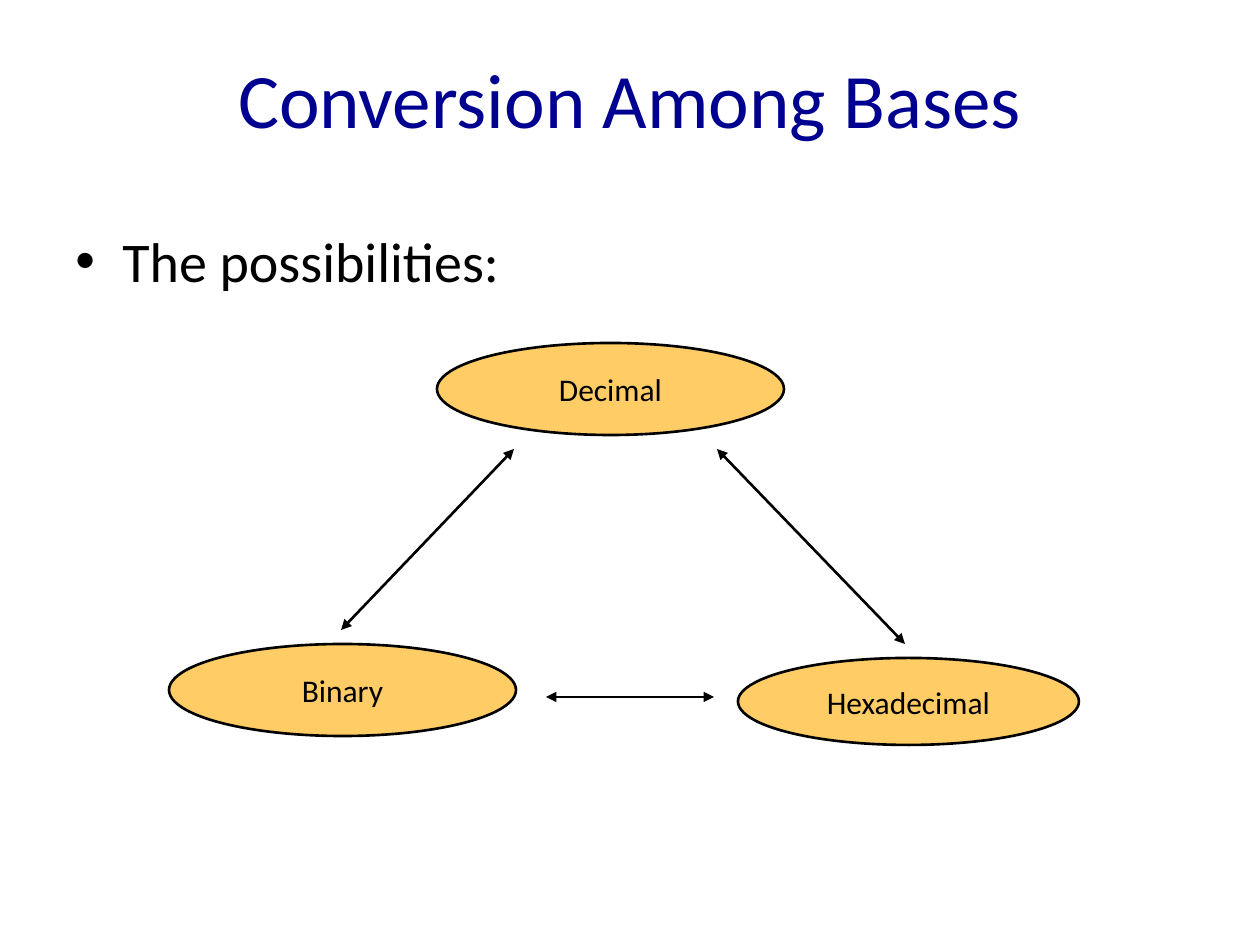
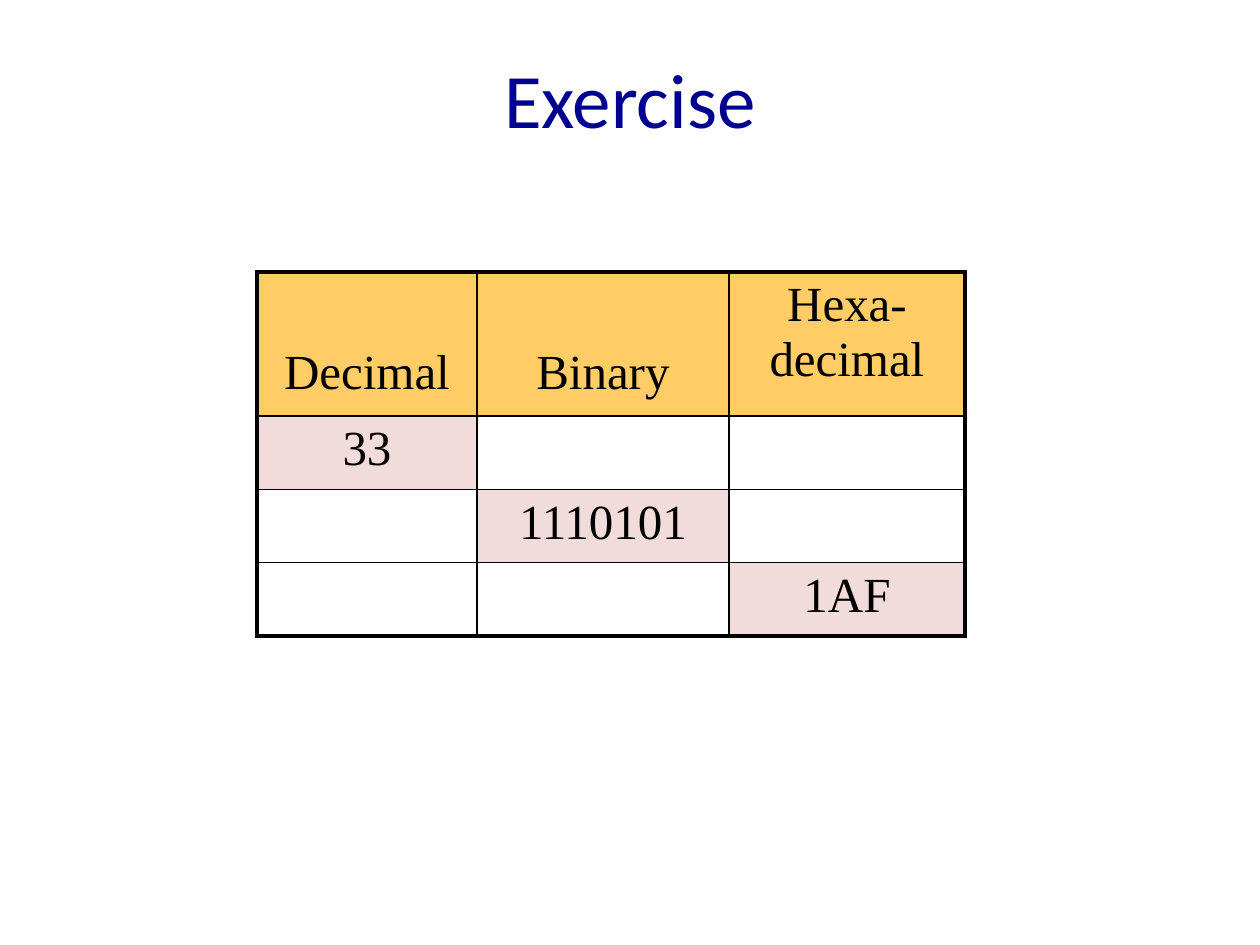
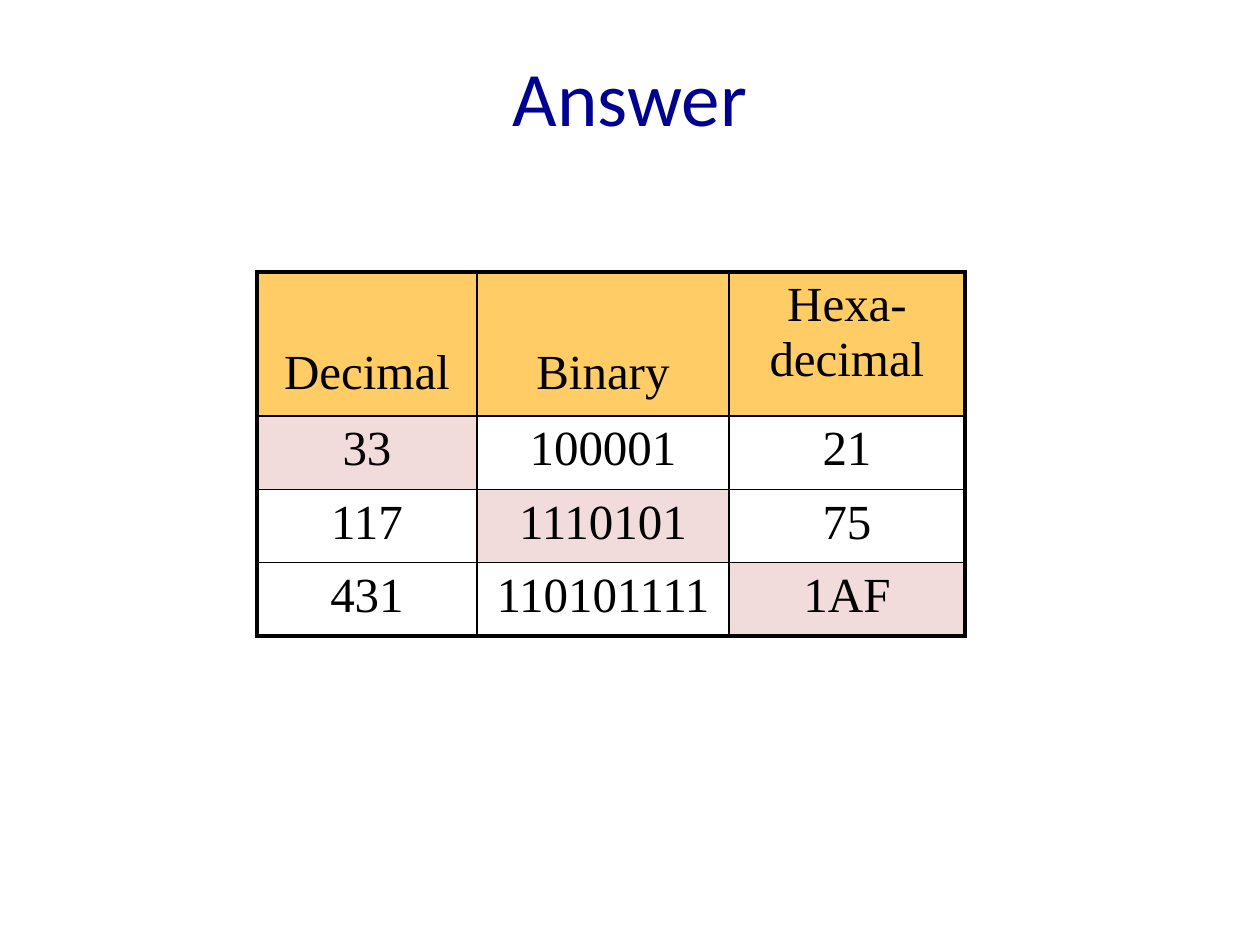
from dataclasses import dataclass

import pptx
import pptx.dml.color
import pptx.enum.shapes
import pptx.enum.text
import pptx.oxml.ns
import pptx.util
from lxml import etree

EMU_PER_PX = 914400 / 126
ANCHOR = pptx.enum.text.MSO_ANCHOR
ALIGN = pptx.enum.text.PP_ALIGN


@dataclass(frozen=True)
class Theme:
    title_color: str = "000090"
    ink: str = "000000"
    gold: str = "FFCC66"
    pink: str = "F2DCDB"
    sans: str = "Calibri"
    serif: str = "Times New Roman"
    title_size: int = 44
    body_size: int = 32
    table_size: int = 28
    label_size: int = 18
    line: float = 1.5
    inner_border: float = 1
    outer_border: float = 2.25


@dataclass(frozen=True)
class Box:
    left: int
    top: int
    width: int
    height: int

    def inside(self, left, top, width, height):
        return Box(self.left + left, self.top + top, width, height)

    def emu(self):
        return [px(length) for length in (self.left, self.top, self.width, self.height)]


THEME = Theme()
PAGE = Box(0, 0, 1260, 945)
TITLE_BOX = Box(0, 0, 1260, 195)
BODY_BOX = Box(63, 220, 1134, 624)
DIAGRAM_BOX = Box(169, 343, 911, 402)
TABLE_BOX = Box(257, 272, 708, 364)

HEADINGS = ["Decimal", "Binary", "Hexa-\ndecimal"]
NUMBERS = [
    ["33", "100001", "21"],
    ["117", "1110101", "75"],
    ["431", "110101111", "1AF"],
]


def px(length):
    return pptx.util.Emu(round(length * EMU_PER_PX))


def rgb(color):
    return pptx.dml.color.RGBColor.from_string(color)


def add_element(parent, tag, **attributes):
    return etree.SubElement(parent, pptx.oxml.ns.qn(tag), attributes)


def add_run(paragraph, text, size, font=THEME.sans, color=THEME.ink):
    run = paragraph.add_run()
    run.text = text
    run.font.size = pptx.util.Pt(size)
    run.font.name = font
    run.font.color.rgb = rgb(color)


def add_text_box(slide, box, anchor):
    frame = slide.shapes.add_textbox(*box.emu()).text_frame
    frame.word_wrap = True
    frame.vertical_anchor = anchor
    return frame.paragraphs[0]


# Title and body text
def add_title(slide, box, text):
    paragraph = add_text_box(slide, box, ANCHOR.MIDDLE)
    paragraph.alignment = ALIGN.CENTER
    add_run(paragraph, text, THEME.title_size, color=THEME.title_color)


def add_bullet(slide, box, text):
    paragraph = add_text_box(slide, box, ANCHOR.TOP)
    properties = paragraph._p.get_or_add_pPr()
    properties.set("marL", str(px(47)))
    properties.set("indent", str(-px(47)))
    add_element(properties, "a:buFont", typeface="Arial")
    add_element(properties, "a:buChar", char="•")
    add_run(paragraph, text, THEME.body_size)


# Conversion diagram
def add_base(slide, box, name):
    shape = slide.shapes.add_shape(pptx.enum.shapes.MSO_SHAPE.OVAL, *box.emu())
    shape.shadow.inherit = False
    shape.fill.solid()
    shape.fill.fore_color.rgb = rgb(THEME.gold)
    shape.line.color.rgb = rgb(THEME.ink)
    shape.line.width = pptx.util.Pt(THEME.line)
    frame = shape.text_frame
    frame.word_wrap = False
    frame.vertical_anchor = ANCHOR.MIDDLE
    frame.paragraphs[0].alignment = ALIGN.CENTER
    add_run(frame.paragraphs[0], name, THEME.label_size)


def add_double_arrow(slide, box, start, end):
    points = [px(length) for x, y in (start, end) for length in (box.left + x, box.top + y)]
    connector = slide.shapes.add_connector(pptx.enum.shapes.MSO_CONNECTOR.STRAIGHT, *points)
    connector.line.color.rgb = rgb(THEME.ink)
    connector.line.width = pptx.util.Pt(THEME.line)
    line = connector.line._get_or_add_ln()
    for tag in ("a:headEnd", "a:tailEnd"):
        add_element(line, tag, type="triangle")
    add_element(connector._element.spPr, "a:effectLst")


def add_diagram(slide, box):
    bases = [
        ("Hexadecimal", (569, 315, 341, 87)),
        ("Decimal", (268, 0, 347, 92)),
        ("Binary", (0, 301, 347, 92)),
    ]
    for name, place in bases:
        add_base(slide, box.inside(*place), name)
    arrows = [
        ((172, 287), (345, 106)),
        ((736, 301), (548, 106)),
        ((377, 354), (545, 354)),
    ]
    for start, end in arrows:
        add_double_arrow(slide, box, start, end)


# Conversion table
def set_borders(cell, outer_sides):
    properties = cell._tc.get_or_add_tcPr()
    for side in "LRTB":
        width = THEME.outer_border if side in outer_sides else THEME.inner_border
        line = add_element(properties, f"a:ln{side}", w=str(pptx.util.Pt(width)))
        add_element(add_element(line, "a:solidFill"), "a:srgbClr", val=THEME.ink)


def set_cell(cell, text, fill):
    if fill:
        cell.fill.solid()
        cell.fill.fore_color.rgb = rgb(fill)
    else:
        cell.fill.background()
    paragraph = cell.text_frame.paragraphs[0]
    paragraph.alignment = ALIGN.CENTER
    for index, line in enumerate(text.split("\n") if text else []):
        if index:
            paragraph.add_line_break()
        add_run(paragraph, line, THEME.table_size, THEME.serif)


def add_conversion_table(slide, box, show_answers):
    rows = [HEADINGS] + NUMBERS
    last_row, last_column = len(rows) - 1, len(HEADINGS) - 1
    table = slide.shapes.add_table(len(rows), len(HEADINGS), *box.emu()).table
    table.first_row = table.horz_banding = False
    for column, width in zip(table.columns, (220, 252, 236)):
        column.width = px(width)
    header_height = 144
    table.rows[0].height = px(header_height)
    for row in list(table.rows)[1:]:
        row.height = px((box.height - header_height) / last_row)

    for row_index, texts in enumerate(rows):
        for column_index, text in enumerate(texts):
            cell = table.cell(row_index, column_index)
            edges = {"T": row_index == 0, "B": row_index == last_row,
                     "L": column_index == 0, "R": column_index == last_column}
            set_borders(cell, [side for side, is_outer in edges.items() if is_outer])
            is_header = row_index == 0
            is_given = row_index == column_index + 1
            fill = THEME.gold if is_header else THEME.pink if is_given else None
            shown = is_header or is_given or show_answers
            set_cell(cell, text if shown else "", fill)
            # One-line headings sit level with the foot of the row
            if is_header and "\n" not in text:
                cell.vertical_anchor = ANCHOR.BOTTOM
                cell.margin_bottom = px(16)


# Slides
def add_slide(presentation, title, title_box=TITLE_BOX):
    slide = presentation.slides.add_slide(presentation.slide_layouts[6])
    add_title(slide, title_box, title)
    return slide


def add_possibilities_slide(presentation):
    slide = add_slide(presentation, "Conversion Among Bases")
    add_bullet(slide, BODY_BOX, "The possibilities:")
    add_diagram(slide, DIAGRAM_BOX)


def add_table_slide(presentation, title, title_box, show_answers):
    slide = add_slide(presentation, title, title_box)
    add_conversion_table(slide, TABLE_BOX, show_answers)


def main():
    presentation = pptx.Presentation()
    presentation.slide_width = px(PAGE.width)
    presentation.slide_height = px(PAGE.height)
    add_possibilities_slide(presentation)
    add_table_slide(presentation, "Exercise", TITLE_BOX, show_answers=False)
    add_table_slide(presentation, "Answer", TITLE_BOX.inside(0, -2, 1260, 195), show_answers=True)
    presentation.save("out.pptx")


if __name__ == "__main__":
    main()
